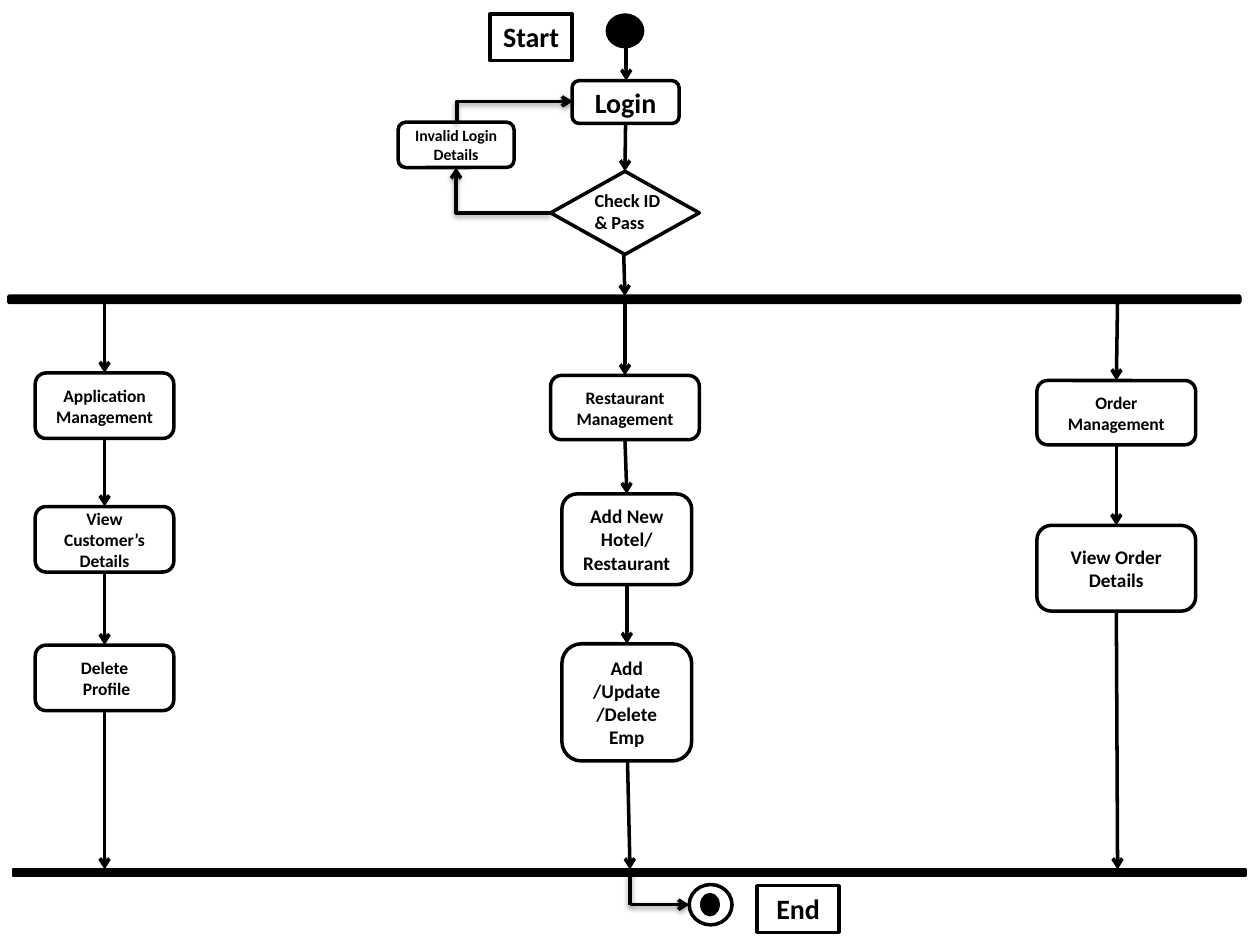
"""Build the activity diagram of a restaurant ordering system."""
from lxml.etree import SubElement
from pptx import Presentation
from pptx.dml.color import RGBColor
from pptx.enum.shapes import MSO_CONNECTOR, MSO_SHAPE
from pptx.enum.text import MSO_ANCHOR, PP_ALIGN
from pptx.oxml.ns import qn
from pptx.util import Inches, Pt

COLORS = {"ink": "000000", "paper": "FFFFFF"}
FONT = "Calibri"
LINE_WIDTH = 2
TOP, BOTTOM = 0, 2

ROUND, RECT = MSO_SHAPE.ROUNDED_RECTANGLE, MSO_SHAPE.RECTANGLE
OVAL, DECISION = MSO_SHAPE.OVAL, MSO_SHAPE.FLOWCHART_DECISION

# name: (preset, fill, (left, top, width, height))
MARKS = {
    "check": (DECISION, "paper", (4.37, 1.36, 1.18, 0.66)),
    "fork": (ROUND, "ink", (0.07, 2.35, 9.77, 0.05)),
    "join": (RECT, "ink", (0.11, 6.9, 9.77, 0.05)),
    "start dot": (OVAL, "ink", (4.82, 0.12, 0.28, 0.25)),
    "end ring": (OVAL, "paper", (5.47, 7.02, 0.34, 0.32)),
    "end dot": (OVAL, "ink", (5.57, 7.1, 0.13, 0.16)),
}
# name: (preset, (left, top, width, height), font size, paragraphs)
BOXES = {
    "start": (RECT, (3.89, 0.11, 0.65, 0.37), 16, ["Start"]),
    "end": (RECT, (6.01, 7.03, 0.65, 0.37), 16, ["End"]),
    "login": (ROUND, (4.54, 0.64, 0.85, 0.34), 16, ["Login"]),
    "invalid": (ROUND, (3.16, 0.97, 0.92, 0.36), 9, ["Invalid Login Details"]),
    "application": (ROUND, (0.28, 2.96, 1.1, 0.52), 10, ["Application Management"]),
    "customer": (ROUND, (0.28, 4.02, 1.1, 0.52), 10, ["View Customer’s", "Details"]),
    "profile": (ROUND, (0.28, 5.12, 1.1, 0.52), 10, ["Delete", " Profile"]),
    "restaurant": (ROUND, (4.37, 2.98, 1.18, 0.51), 10, ["Restaurant Management"]),
    "add": (ROUND, (4.46, 3.92, 1.03, 0.72), 11, ["Add New Hotel/", "Restaurant"]),
    "employee": (ROUND, (4.46, 5.11, 1.03, 0.93), 11, ["Add", "/Update /Delete Emp"]),
    "order": (ROUND, (8.23, 3.02, 1.26, 0.51), 10, ["Order Management"]),
    "order details": (ROUND, (8.23, 4.17, 1.26, 0.68), 11, ["View Order Details"]),
}
CHECK_LABEL = ((4.62, 1.45, 0.85, 0.63), 10.5, ["Check ID & Pass"])
FLOWS = [("login", "check"), ("application", "customer"), ("customer", "profile"),
         ("restaurant", "add"), ("add", "employee"), ("order", "order details")]
# (start, end) of arrows that touch a bar or the start dot
BAR_ARROWS = [
    ((4.97, 0.26), (4.97, 0.64)), ((4.95, 2.02), (4.96, 2.35)),
    ((0.83, 2.4), (0.83, 2.96)), ((4.96, 2.35), (4.96, 2.98)),
    ((8.87, 2.37), (8.86, 3.02)), ((0.83, 5.64), (0.83, 6.9)),
    ((4.98, 6.03), (5, 6.9)), ((8.86, 4.85), (8.87, 6.9)),
]
# (start, end, arrowhead, bent, rotation)
SHADOWED_LINES = [
    ((5, 6.9), (5, 7.18), False, False, 0),
    ((5, 7.18), (5.47, 7.18), True, False, 0),
    ((4.37, 1.69), (3.62, 1.33), True, True, 0),
    ((4.17, 1.35), (4, 0.43), True, True, 90),
]

presentation = Presentation()
presentation.slide_width, presentation.slide_height = Inches(10), Inches(7.5)
slide = presentation.slides.add_slide(presentation.slide_layouts[6])


def color(name):
    return RGBColor.from_string(COLORS[name])


def inches(lengths):
    return [Inches(length) for length in lengths]


def add_mark(preset, fill, box):
    shape = slide.shapes.add_shape(preset, *inches(box))
    shape.shadow.inherit = False
    shape.fill.solid()
    shape.fill.fore_color.rgb = color(fill)
    shape.line.color.rgb = color("ink")
    shape.line.width = Pt(LINE_WIDTH)
    return shape


def write(shape, paragraphs, size, alignment, anchor):
    frame = shape.text_frame
    frame.word_wrap = True
    frame.vertical_anchor = anchor
    frame.text = "\n".join(paragraphs)
    for paragraph in frame.paragraphs:
        paragraph.alignment = alignment
        for run in paragraph.runs:
            run.font.name, run.font.size, run.font.bold = FONT, Pt(size), True
            run.font.color.rgb = color("ink")


def add_line(start, end, arrow=True, bent=False, rotation=0, shadow=False):
    kind = MSO_CONNECTOR.ELBOW if bent else MSO_CONNECTOR.STRAIGHT
    connector = slide.shapes.add_connector(kind, *inches(start + end))
    connector.line.color.rgb = color("ink")
    connector.line.width = Pt(LINE_WIDTH)
    properties = connector._element.spPr
    if bent:
        properties.find(qn("a:prstGeom")).set("prst", "bentConnector2")
    if rotation:
        properties.find(qn("a:xfrm")).set("rot", str(rotation * 60000))
    if arrow:
        SubElement(properties.find(qn("a:ln")), qn("a:tailEnd"), type="arrow")
    effects = SubElement(properties, qn("a:effectLst"))
    if shadow:
        outer = SubElement(effects, qn("a:outerShdw"), blurRad=str(Pt(3.1)),
                           dist=str(Pt(1.6)), dir="5400000", rotWithShape="0")
        tint = SubElement(outer, qn("a:srgbClr"), val=COLORS["ink"])
        SubElement(tint, qn("a:alpha"), val="38000")
    return connector


nodes = {name: add_mark(*mark) for name, mark in MARKS.items()}
for name, (preset, box, size, paragraphs) in BOXES.items():
    nodes[name] = add_mark(preset, "paper", box)
    anchor = MSO_ANCHOR.TOP if preset == RECT else MSO_ANCHOR.MIDDLE
    write(nodes[name], paragraphs, size, PP_ALIGN.CENTER, anchor)

label_box, label_size, label_text = CHECK_LABEL
label = slide.shapes.add_textbox(*inches(label_box))
write(label, label_text, label_size, PP_ALIGN.LEFT, MSO_ANCHOR.TOP)

for source, target in FLOWS:
    flow = add_line((0, 0), (1, 1))
    flow.begin_connect(nodes[source], BOTTOM)
    flow.end_connect(nodes[target], TOP)
for start, end in BAR_ARROWS:
    add_line(start, end)
for line in SHADOWED_LINES:
    add_line(*line, shadow=True)

presentation.save("out.pptx")
